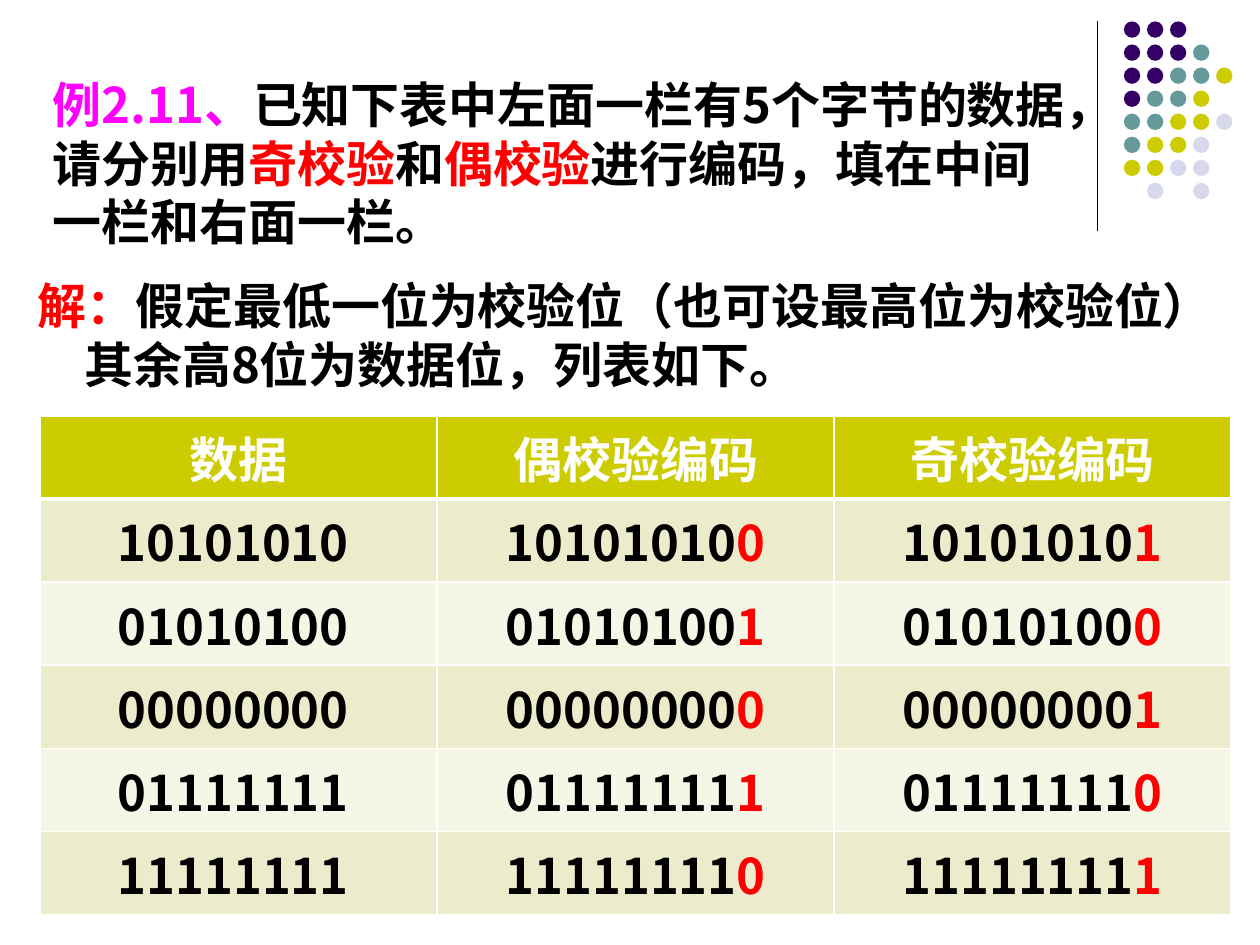
from dataclasses import dataclass

from lxml import etree
from pptx import Presentation
from pptx.dml.color import RGBColor
from pptx.enum.shapes import MSO_CONNECTOR, MSO_SHAPE
from pptx.enum.text import MSO_ANCHOR, PP_ALIGN
from pptx.oxml.ns import qn
from pptx.util import Inches, Pt

STRAIGHT = MSO_CONNECTOR.STRAIGHT
OVAL = MSO_SHAPE.OVAL
TOP, MIDDLE, BOTTOM = MSO_ANCHOR.TOP, MSO_ANCHOR.MIDDLE, MSO_ANCHOR.BOTTOM
CENTER = PP_ALIGN.CENTER


@dataclass(frozen=True)
class Theme:
    font: str = "Noto Sans CJK SC"
    size: int = 28
    text: str = "000000"
    accent: str = "FF0000"
    label: str = "FF00FF"
    white: str = "FFFFFF"
    purple: str = "330066"
    teal: str = "669999"
    olive: str = "CCCC00"
    lavender: str = "D8D8EC"
    bands: tuple = ("ECECCC", "F6F6E7")


class SlideBuilder:
    def __init__(self, slide, theme):
        self.slide = slide
        self.theme = theme

    def add_runs(self, paragraph, runs):
        for text, color in runs:
            run = paragraph.add_run()
            run.text = text
            run.font.name = self.theme.font
            run.font.size = Pt(self.theme.size)
            run.font.bold = True
            run.font.color.rgb = RGBColor.from_string(color)
            east_asian = etree.SubElement(run.font._element, qn("a:ea"))
            east_asian.set("typeface", self.theme.font)

    def text_box(self, left, top, width, height, paragraphs, anchor=TOP,
                 line_spacing=1.0, space_before=0, indents=None, bottom_margin=0.05):
        box = self.slide.shapes.add_textbox(
            Inches(left), Inches(top), Inches(width), Inches(height))
        frame = box.text_frame
        frame.word_wrap = True
        frame.vertical_anchor = anchor
        frame.margin_bottom = Inches(bottom_margin)
        for index, runs in enumerate(paragraphs):
            paragraph = frame.add_paragraph() if index else frame.paragraphs[0]
            paragraph.line_spacing = line_spacing
            if index:
                paragraph.space_before = Pt(space_before)
            if indents:
                margin, first_line = indents[index]
                properties = paragraph._p.get_or_add_pPr()
                properties.set("marL", str(Inches(margin)))
                properties.set("indent", str(Inches(first_line)))
            self.add_runs(paragraph, runs)

    def line(self, x1, y1, x2, y2, color, width):
        connector = self.slide.shapes.add_connector(
            STRAIGHT, Inches(x1), Inches(y1), Inches(x2), Inches(y2))
        connector.line.color.rgb = RGBColor.from_string(color)
        connector.line.width = Pt(width)
        etree.SubElement(connector._element.spPr, qn("a:effectLst"))

    def dot(self, left, top, diameter, color):
        shape = self.slide.shapes.add_shape(
            OVAL, Inches(left), Inches(top), Inches(diameter), Inches(diameter))
        shape.shadow.inherit = False
        shape.fill.solid()
        shape.fill.fore_color.rgb = RGBColor.from_string(color)
        shape.line.fill.background()

    def cell_border(self, cell, side, width):
        border = etree.SubElement(
            cell._tc.get_or_add_tcPr(), qn(f"a:ln{side}"), w=str(Pt(width)))
        fill = etree.SubElement(border, qn("a:solidFill"))
        etree.SubElement(fill, qn("a:srgbClr"), val=self.theme.white)

    def table(self, left, top, column_width, row_height, rows):
        row_count, column_count = len(rows), len(rows[0])
        table = self.slide.shapes.add_table(
            row_count, column_count, Inches(left), Inches(top),
            Inches(column_width * column_count), Inches(row_height * row_count)).table
        for column in table.columns:
            column.width = Inches(column_width)
        for row_index, row in enumerate(rows):
            table.rows[row_index].height = Inches(row_height)
            # The rule between header and body is thicker than the others
            widths = {"L": 1, "R": 1,
                      "T": 3 if row_index == 1 else 1,
                      "B": 3 if row_index == 0 else 1}
            color = self.theme.bands[(row_index - 1) % 2] if row_index else self.theme.olive
            for column_index, runs in enumerate(row):
                cell = table.cell(row_index, column_index)
                cell.vertical_anchor = MIDDLE
                for side, width in widths.items():
                    self.cell_border(cell, side, width)
                cell.fill.solid()
                cell.fill.fore_color.rgb = RGBColor.from_string(color)
                paragraph = cell.text_frame.paragraphs[0]
                paragraph.alignment = CENTER
                self.add_runs(paragraph, runs)


def main():
    theme = Theme()
    presentation = Presentation()
    presentation.slide_width, presentation.slide_height = Inches(10), Inches(7.5)
    slide = presentation.slides.add_slide(presentation.slide_layouts[6])
    builder = SlideBuilder(slide, theme)

    # Corner decoration: rule and dot grid
    builder.line(8.71, 0.17, 8.71, 1.83, theme.text, 0.75)
    dot_colors = {"P": theme.purple, "T": theme.teal,
                  "O": theme.olive, "L": theme.lavender}
    dot_rows = ["PPP", "PPPT", "PPTTO", "PTTO", "TTOOL", "TOOL", "OOLL", " L L"]
    dot_pitch = 0.183
    for row, pattern in enumerate(dot_rows):
        for column, key in enumerate(pattern):
            if key in dot_colors:
                builder.dot(8.92 + column * dot_pitch, 0.17 + row * dot_pitch,
                            0.13, dot_colors[key])

    # Question
    builder.text_box(0.32, 0.34, 8.25, 1.65, [[
        ("例2.11、", theme.label),
        ("已知下表中左面一栏有5个字节的数据，请分别用", theme.text),
        ("奇校验", theme.accent),
        ("和", theme.text),
        ("偶校验", theme.accent),
        ("进行编码，填在中间一栏和右面一栏。", theme.text),
    ]], anchor=BOTTOM, bottom_margin=0)

    # Solution
    builder.text_box(0.2, 2.19, 9.69, 1.11, [
        [("解：", theme.accent),
         ("假定最低一位为校验位（也可设最高位为校验位）", theme.text)],
        [("其余高8位为数据位，列表如下。", theme.text)],
    ], line_spacing=0.9, space_before=3.5, indents=[(0.38, -0.38), (0.37, 0)])

    # Parity table: the even bit makes the count of ones even
    rows = [[[(title, theme.white)] for title in ("数据", "偶校验编码", "奇校验编码")]]
    for data in ("10101010", "01010100", "00000000", "01111111", "11111111"):
        even_bit = data.count("1") % 2
        coded = [[(data, theme.text), (str(bit), theme.accent)]
                 for bit in (even_bit, 1 - even_bit)]
        rows.append([[(data + " ", theme.text)], *coded])
    builder.table(0.32, 3.3, 3.15, 0.66, rows)

    presentation.save("out.pptx")


if __name__ == "__main__":
    main()
